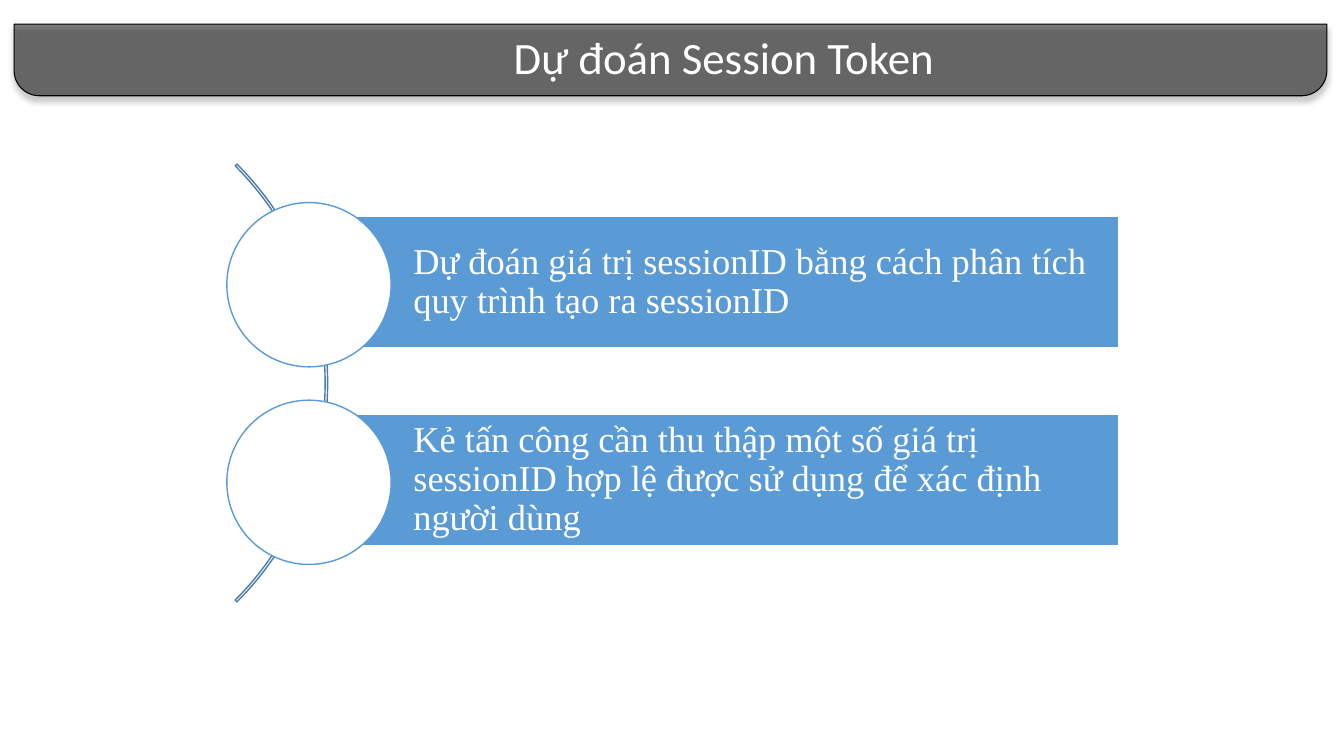
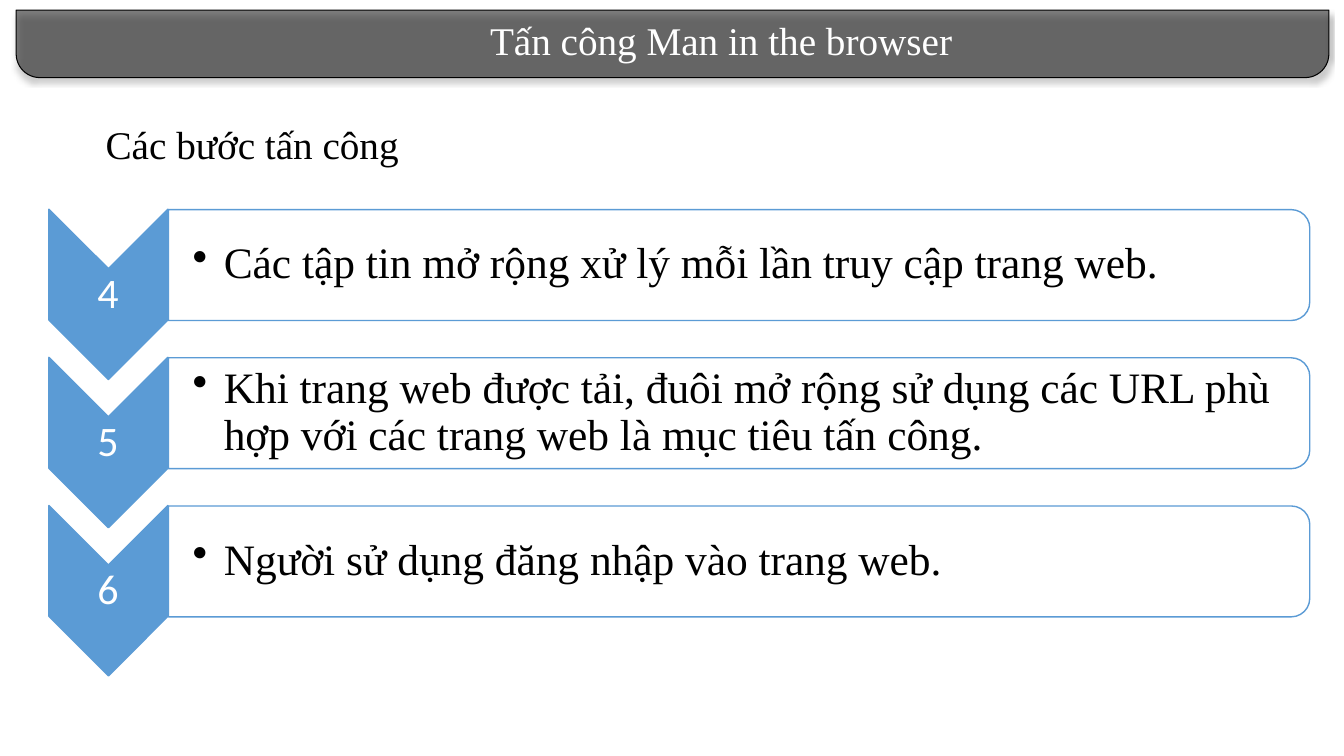
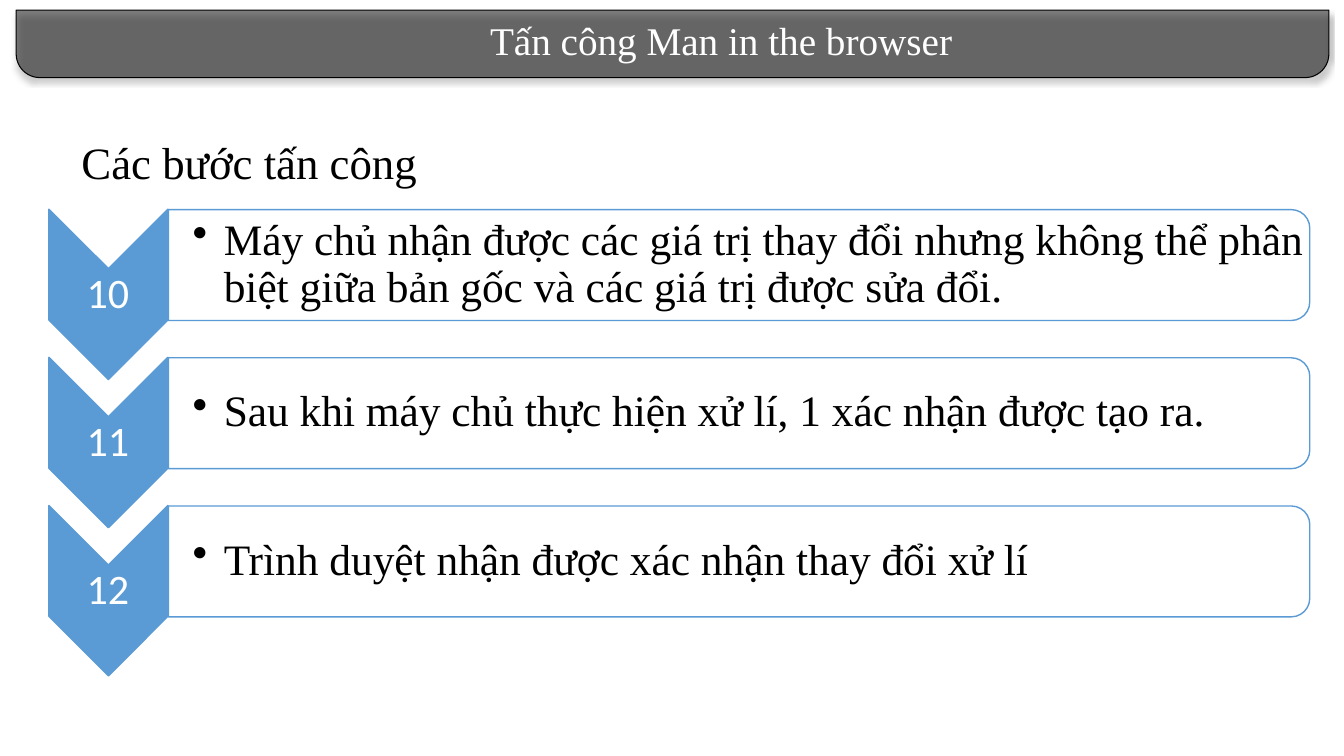
from pptx import Presentation
from pptx.dml.color import RGBColor
from pptx.enum.shapes import MSO_SHAPE
from pptx.enum.text import MSO_ANCHOR, PP_ALIGN
from pptx.oxml.ns import qn
from pptx.util import Inches, Pt
from lxml.etree import SubElement

HUES = {"ink": "000000", "paper": "FFFFFF", "blue": "5B9BD5", "arc": "497CAB"}
SERIF, SANS = "Times New Roman", "Calibri"


class Deck:
    """Holds the shared style and the current slide."""

    def __init__(self):
        self.prs = Presentation()
        self.prs.slide_width = Inches(13.33)
        self.prs.slide_height = Inches(7.5)
        self.slide = None

    def hue(self, name):
        return RGBColor.from_string(HUES[name])

    def page(self):
        self.slide = self.prs.slides.add_slide(self.prs.slide_layouts[6])

    def shape(self, kind, box, fill, line, width=1, turn=0, adj=()):
        shape = self.slide.shapes.add_shape(kind, *map(Inches, box))
        shape.shadow.inherit = False
        shape.rotation = turn
        for i, value in enumerate(adj):
            shape.adjustments[i] = value
        if fill:
            shape.fill.solid()
            shape.fill.fore_color.rgb = self.hue(fill)
        else:
            shape.fill.background()
        shape.line.color.rgb = self.hue(line)
        shape.line.width = Pt(width)
        return shape

    def label(self, shape, words, size, font=SERIF, hue="ink", align=PP_ALIGN.LEFT,
              pads=None, dot=False, wrap=True):
        frame = shape.text_frame
        frame.word_wrap = wrap
        para = frame.paragraphs[0]
        para.text = words
        para.alignment = align
        # Padded text sits mid-height with tight lines
        if pads:
            frame.vertical_anchor = MSO_ANCHOR.MIDDLE
            frame.margin_left = Inches(pads[0])
            frame.margin_top = frame.margin_right = frame.margin_bottom = Inches(pads[1])
            para.line_spacing = 0.9
        if dot:
            props = para._p.get_or_add_pPr()
            props.set("marL", str(Inches(0.31)))
            props.set("indent", str(-Inches(0.31)))
            SubElement(props, qn("a:buChar"), char="•")
        para.font.size = Pt(size)
        para.font.name = font
        para.font.color.rgb = self.hue(hue)

    def text(self, box, words, size, **style):
        self.label(self.slide.shapes.add_textbox(*map(Inches, box)), words, size, **style)

    def title(self, words, left, top, height, size, font=SERIF):
        # Half-clear band, rounded at the bottom, with a soft shadow
        band = self.shape(MSO_SHAPE.ROUND_2_SAME_RECTANGLE, (left, top, 13.02, height),
                          "ink", "ink", 0.75, 180, (0.352, 0))
        props = band._element.spPr
        tint = props.find(qn("a:solidFill"))[0]
        SubElement(tint, qn("a:alpha"), val="50000")
        cast = SubElement(props.find(qn("a:effectLst")), qn("a:outerShdw"),
                          blurRad=str(Pt(4)), dist=str(Pt(3)), dir="5400000",
                          rotWithShape="0")
        dark = SubElement(cast, qn("a:srgbClr"), val=HUES["ink"])
        SubElement(dark, qn("a:alpha"), val="40000")
        self.text((left + 3.13, top + 0.01, 7.82, 0.6), words, size, font=font,
                  hue="paper", align=PP_ALIGN.CENTER)

    def point(self, row, words):
        drop = 1.96 * row
        bar = self.shape(MSO_SHAPE.RECTANGLE, (3.07, 2.15 + drop, 8.03, 1.3),
                         "blue", "paper")
        self.label(bar, words, 26, hue="paper", pads=(1.03, 0.07))
        self.shape(MSO_SHAPE.OVAL, (2.25, 2.01 + drop, 1.63, 1.63), "paper", "blue")

    def step(self, row, mark, words):
        drop = 1.47 * row
        self.shape(MSO_SHAPE.CHEVRON, (0.23, 2.33 + drop, 1.69, 1.18),
                   "blue", "blue", turn=90)
        self.text((0.48, 2.67 + drop, 1.18, 0.51), str(mark), 30, font=SANS,
                  hue="paper", align=PP_ALIGN.CENTER, pads=(0.02, 0.02))
        self.shape(MSO_SHAPE.ROUND_2_SAME_RECTANGLE, (6.78, -3.03 + drop, 1.1, 11.32),
                   "paper", "blue", turn=90)
        self.text((1.67, 2.13 + drop, 11.27, 0.99), words, 31,
                  pads=(0.24, 0.02), dot=True)

    def steps(self, first, lines, head, size):
        self.page()
        self.title("Tấn công Man in the browser ", 0.16, 0.1, 0.67, 28)
        for row, words in enumerate(lines):
            self.step(row, first + row, words)
        self.text(head, "Các bước tấn công", size, wrap=False)


def main():
    deck = Deck()

    # Token guessing
    deck.page()
    deck.title("Dự đoán Session Token", 0.14, 0.24, 0.71, 32, SANS)
    deck.shape(MSO_SHAPE.BLOCK_ARC, (-2.89, 0.73, 6.14, 6.14), None, "arc",
               adj=(189, 27, 0.004))
    points = (
        "Dự đoán giá trị sessionID bằng cách phân tích quy trình tạo ra sessionID",
        "Kẻ tấn công cần thu thập một số giá trị sessionID hợp lệ được sử dụng "
        "để xác định người dùng",
    )
    for row, words in enumerate(points):
        deck.point(row, words)

    # Attack steps 4 to 6
    deck.steps(4, (
        "Các tập tin mở rộng xử lý mỗi lần truy cập trang web.",
        "Khi trang web được tải, đuôi mở rộng sử dụng các URL phù hợp với các "
        "trang web là mục tiêu tấn công.",
        "Người sử dụng đăng nhập vào trang web.",
    ), (0.95, 1.14, 3.13, 0.57), 28)

    # Attack steps 10 to 12
    deck.steps(10, (
        "Máy chủ nhận được các giá trị thay đổi nhưng không thể phân biệt giữa "
        "bản gốc và các giá trị được sửa đổi.",
        "Sau khi máy chủ thực hiện xử lí, 1 xác nhận được tạo ra.",
        "Trình duyệt nhận được xác nhận thay đổi xử lí",
    ), (0.71, 1.29, 3.56, 0.64), 32)

    deck.prs.save("out.pptx")


if __name__ == "__main__":
    main()
